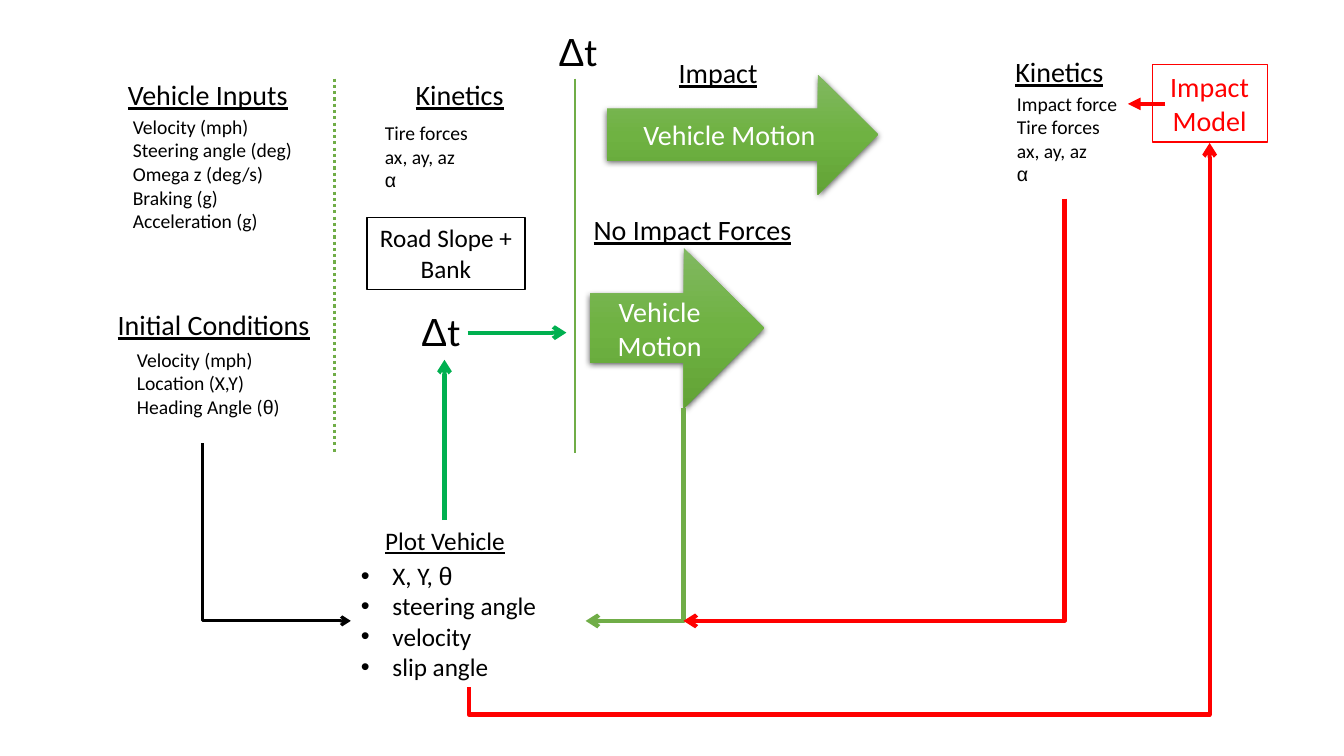
"""Draw the flow diagram of a vehicle motion and impact simulation."""
from copy import deepcopy
from itertools import groupby

from lxml import etree
from pptx import Presentation
from pptx import util as u
from pptx.dml.color import RGBColor
from pptx.enum import dml, shapes, text
from pptx.oxml.ns import qn

COLORS = {
    "black": "000000", "white": "FFFFFF", "red": "FF0000",
    "green": "70AD47", "emerald": "00B050",
    "arrow_top": "81B861", "arrow_middle": "6FB242", "arrow_bottom": "62A336",
}
GREEK = "Δθα"
LEFT, CENTER = text.PP_ALIGN.LEFT, text.PP_ALIGN.CENTER


def color(name):
    return RGBColor.from_string(COLORS[name])


class Diagram:
    def __init__(self, slide):
        self.slide = slide
        self.font, self.greek_font = "Calibri", "Arial"

    def add_lines(self, shape, lines, size, ink="black", align=LEFT, underline=False,
                  anchor=text.MSO_ANCHOR.TOP, bullet=None):
        frame = shape.text_frame
        frame.word_wrap = True
        frame.auto_size = text.MSO_AUTO_SIZE.NONE
        frame.vertical_anchor = anchor
        for index, line in enumerate(lines):
            paragraph = frame.add_paragraph() if index else frame.paragraphs[0]
            if bullet:
                self.add_bullet(paragraph, bullet)
            paragraph.alignment = align
            paragraph.space_before = u.Pt(0)
            for is_greek, letters in groupby(line, lambda letter: letter in GREEK):
                run = paragraph.add_run()
                run.text = "".join(letters)
                run.font.name = self.greek_font if is_greek else self.font
                run.font.size = u.Pt(size)
                run.font.underline = underline
                run.font.color.rgb = color(ink)

    def add_bullet(self, paragraph, bullet):
        properties = paragraph._p.get_or_add_pPr()
        indent = u.Pt(22.5)
        properties.set("marL", str(indent))
        properties.set("indent", str(-indent))
        etree.SubElement(properties, qn("a:buFont"), typeface="Arial")
        etree.SubElement(properties, qn("a:buChar"), char=bullet)

    def label(self, box, lines, size, **style):
        shape = self.slide.shapes.add_textbox(*map(u.Pt, box))
        self.add_lines(shape, lines, size, **style)

    def heading(self, box, line, align=CENTER):
        self.label(box, [line], 20, align=align, underline=True)

    def placeholder(self, shape, box, lines, size, **style):
        shape.left, shape.top, shape.width, shape.height = map(u.Pt, box)
        self.add_lines(shape, lines, size, **style)

    def preset(self, kind, box):
        shape = self.slide.shapes.add_shape(kind, *map(u.Pt, box))
        shape.shadow.inherit = False
        return shape

    def frame(self, box, line, size, ink, width, fill=None):
        shape = self.preset(shapes.MSO_SHAPE.RECTANGLE, box)
        if fill:
            shape.fill.solid()
            shape.fill.fore_color.rgb = color(fill)
        else:
            shape.fill.background()
        shape.line.color.rgb = color(ink)
        shape.line.width = u.Pt(width)
        self.add_lines(shape, [line], size, ink, CENTER)

    def block_arrow(self, box, line):
        shape = self.preset(shapes.MSO_SHAPE.RIGHT_ARROW, box)
        shape.adjustments[0], shape.adjustments[1] = 0.43, 0.5
        shape.line.fill.background()
        shape.fill.gradient()
        shape.fill.gradient_angle = 270
        properties = shape.element.spPr
        stops = properties.find(".//" + qn("a:gsLst"))
        stops.insert(1, deepcopy(stops[0]))
        names = ("arrow_top", "arrow_middle", "arrow_bottom")
        for stop, name, position in zip(shape.fill.gradient_stops, names, (0, 0.5, 1)):
            stop.color.rgb = color(name)
            stop.position = position
        shadow = etree.SubElement(
            properties.find(qn("a:effectLst")), qn("a:outerShdw"),
            blurRad=str(u.Pt(4.5)), dist=str(u.Pt(1.5)), dir="5400000", rotWithShape="0")
        shade = etree.SubElement(shadow, qn("a:srgbClr"), val=COLORS["black"])
        etree.SubElement(shade, qn("a:alpha"), val="63000")
        self.add_lines(shape, [line], 20, "white", CENTER, anchor=text.MSO_ANCHOR.MIDDLE)

    def line(self, start, end, ink, width, head=None, dash=None,
             kind=shapes.MSO_CONNECTOR.STRAIGHT):
        connector = self.slide.shapes.add_connector(kind, *map(u.Pt, (*start, *end)))
        connector.line.color.rgb = color(ink)
        connector.line.width = u.Pt(width)
        if dash:
            connector.line.dash_style = dash
        properties = connector.element.spPr
        if head:
            etree.SubElement(properties.find(qn("a:ln")), qn("a:tailEnd"), type=head)
        etree.SubElement(properties, qn("a:effectLst"))
        return connector

    def elbow(self, start, end, ink, width, bend=None):
        middle_x, middle_y = (start[0] + end[0]) / 2, (start[1] + end[1]) / 2
        turned = [(middle_x + y - middle_y, middle_y - x + middle_x) for x, y in (start, end)]
        connector = self.line(*turned, ink, width, "arrow", kind=shapes.MSO_CONNECTOR.ELBOW)
        properties = connector.element.spPr
        properties.find(qn("a:xfrm")).set("rot", "5400000")
        geometry = properties.find(qn("a:prstGeom"))
        if bend is None:
            geometry.set("prst", "bentConnector2")
        else:
            guides = geometry.find(qn("a:avLst"))
            if guides is None:
                guides = etree.SubElement(geometry, qn("a:avLst"))
            etree.SubElement(guides, qn("a:gd"), name="adj1", fmla=f"val {round(bend * 100000)}")


def main():
    presentation = Presentation()
    presentation.slide_width, presentation.slide_height = u.Pt(960), u.Pt(540)
    slide = presentation.slides.add_slide(presentation.slide_layouts[1])
    diagram = Diagram(slide)

    diagram.placeholder(slide.shapes.title, (257, 371.5, 121.7, 29), ["Plot Vehicle"], 18,
                        align=CENTER, underline=True)
    diagram.placeholder(slide.placeholders[1], (250.6, 396.7, 167.8, 94.3),
                        ["X, Y, θ", "steering angle", "velocity", "slip angle"], 18, bullet="•")

    diagram.heading((84.2, 51.8, 187, 31.5), "Vehicle Inputs", LEFT)
    diagram.label((87.8, 78.5, 141, 92),
                  ["Velocity (mph)", "Steering angle (deg)", "Omega z (deg/s)",
                   "Braking (g)", "Acceleration (g)"], 14)
    diagram.heading((77, 216, 152.6, 31.5), "Initial Conditions", LEFT)
    diagram.label((90.7, 244.8, 124.6, 58.3),
                  ["Velocity (mph)", "Location (X,Y)", "Heading Angle (θ)"], 14)

    forces = ["Tire forces", "ax, ay, az", "α"]
    diagram.heading((252, 51.8, 152.6, 31.5), "Kinetics")
    diagram.label((267.8, 82.8, 141, 58.3), forces, 14)
    diagram.heading((680.4, 35.3, 152.6, 31.5), "Kinetics")
    diagram.label((719.3, 61.9, 141, 75), ["Impact force", *forces], 14)
    for left, top, width in ((391.7, 15.8, 75.6), (293.8, 216, 48.2)):
        diagram.label((left, top, width, 41), ["Δt"], 28)

    diagram.heading((444.2, 36, 137.5, 31.5), "Impact")
    diagram.block_arrow((433.4, 53.3, 193.7, 85.7), "Vehicle Motion")
    diagram.heading((416.2, 148.3, 157, 31.5), "No Impact Forces")
    diagram.block_arrow((421.2, 177.1, 124.6, 114.5), "Vehicle Motion")

    diagram.line((239, 56.2), (239, 323.3), "green", 2.25, dash=dml.MSO_LINE.ROUND_DOT)
    diagram.line((410.4, 56.2), (410.4, 323.3), "green", 1.5)
    diagram.line((317.5, 371.5), (317.5, 257), "emerald", 3, "arrow")
    diagram.line((334, 237.6), (404.6, 237.6), "emerald", 3, "arrow")

    diagram.elbow((144.7, 316.8), (250.6, 443.5), "black", 2.25)
    diagram.elbow((488.2, 291.6), (418.3, 443.5), "green", 3)
    diagram.elbow((760.3, 141.8), (488.2, 443.5), "red", 3, bend=1)
    diagram.frame((823, 46.1, 82.1, 55.4), "Impact Model", 20, "red", 0.75)
    diagram.line((832.3, 74.2), (805.7, 74.2), "red", 3, "triangle")
    diagram.elbow((334.8, 491), (864, 102.2), "red", 3, bend=-0.05)
    diagram.frame((262.1, 155.5, 113, 51.1), "Road Slope + Bank", 18, "black", 1, "white")

    presentation.save("out.pptx")


if __name__ == "__main__":
    main()
